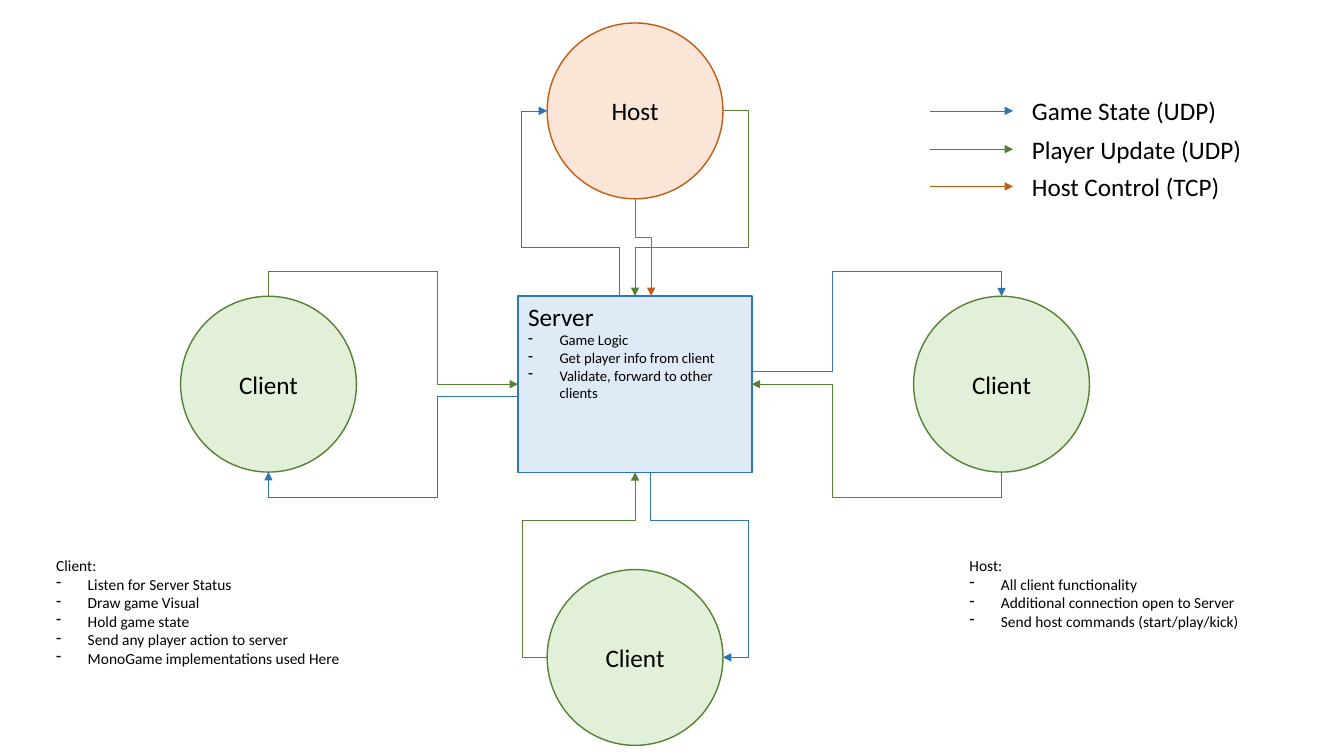
from lxml.etree import SubElement
from pptx import Presentation
from pptx.dml.color import RGBColor
from pptx.enum.shapes import MSO_CONNECTOR, MSO_SHAPE
from pptx.enum.text import MSO_ANCHOR, PP_ALIGN
from pptx.oxml import parse_xml
from pptx.oxml.ns import nsdecls, qn
from pptx.util import Pt

BLUE, GREEN, ORANGE = "2E75B6", "548235", "C55A11"
PALE_BLUE, PALE_GREEN, PALE_ORANGE = "DEEBF7", "E2F0D9", "FBE5D6"

# Layout: the server in the middle, one circle on each side.
CENTER_X, CENTER_Y = 453.6, 274.4
RADIUS = 62.8
HALF_WIDTH, HALF_HEIGHT = 83.5, 63
LEFT_X, RIGHT_X = CENTER_X - 261.8, CENTER_X + 261.8
HOST_Y, BOTTOM_Y = CENTER_Y - 195.2, CENTER_Y + 195.2
STUB = 18

SERVER_LEFT, SERVER_RIGHT = CENTER_X - HALF_WIDTH, CENTER_X + HALF_WIDTH
SERVER_TOP, SERVER_BOTTOM = CENTER_Y - HALF_HEIGHT, CENTER_Y + HALF_HEIGHT
CIRCLE_LEFT, CIRCLE_RIGHT = CENTER_X - RADIUS, CENTER_X + RADIUS
OUTER_LEFT, OUTER_RIGHT = CIRCLE_LEFT - STUB, CIRCLE_RIGHT + STUB
SIDE_TOP, SIDE_BOTTOM = CENTER_Y - RADIUS, CENTER_Y + RADIUS
OUTER_TOP, OUTER_BOTTOM = SIDE_TOP - STUB, SIDE_BOTTOM + STUB
BEND_LEFT, BEND_RIGHT = CENTER_X - 141, CENTER_X + 141
BEND_TOP, BEND_BOTTOM = CENTER_Y - 97.6, CENTER_Y + 97.6


def color(hex_string):
    """Turn a hex string into a colour."""
    return RGBColor.from_string(hex_string)


class Diagram:
    """Holds the text style and the slide being drawn."""

    font_name = "Calibri"
    text_color = "000000"
    indent = 22.5

    def __init__(self, slide):
        """Remember the slide."""
        self.slide = slide

    def paragraph(self, frame, text, size, bullet=False):
        """Write the next paragraph of a text frame."""
        paragraph = frame.paragraphs[0]
        if paragraph.runs:
            paragraph = frame.add_paragraph()
        paragraph.add_run().text = text
        paragraph.alignment = PP_ALIGN.LEFT
        paragraph.font.name = self.font_name
        paragraph.font.size = Pt(size)
        paragraph.font.color.rgb = color(self.text_color)
        if bullet:
            properties = paragraph._p.get_or_add_pPr()
            properties.set("marL", str(Pt(self.indent)))
            properties.set("indent", str(-Pt(self.indent)))
            properties.insert(0, parse_xml(f'<a:buChar {nsdecls("a")} char="-"/>'))
        return paragraph

    def listing(self, frame, heading, heading_size, items, item_size):
        """Write a heading with dashed items below it."""
        self.paragraph(frame, heading, heading_size)
        for item in items:
            self.paragraph(frame, item, item_size, bullet=True)

    def node(self, kind, center, half_size, fill, line):
        """Draw a filled shape around its centre and return its text frame."""
        (x, y), (half_width, half_height) = center, half_size
        shape = self.slide.shapes.add_shape(
            kind, Pt(x - half_width), Pt(y - half_height),
            Pt(2 * half_width), Pt(2 * half_height))
        shape.shadow.inherit = False
        shape.fill.solid()
        shape.fill.fore_color.rgb = color(fill)
        shape.line.color.rgb = color(line)
        shape.line.width = Pt(1)
        return shape.text_frame

    def circle(self, label, center, fill, line):
        """Draw a circle with a centred label."""
        frame = self.node(MSO_SHAPE.OVAL, center, (RADIUS, RADIUS), fill, line)
        frame.vertical_anchor = MSO_ANCHOR.MIDDLE
        self.paragraph(frame, label, 18).alignment = PP_ALIGN.CENTER

    def text_box(self, left, top, width, height):
        """Add a wrapping text box and return its text frame."""
        box = self.slide.shapes.add_textbox(Pt(left), Pt(top), Pt(width), Pt(height))
        box.text_frame.word_wrap = True
        return box.text_frame

    def arrow(self, start, end, line, kind=MSO_CONNECTOR.STRAIGHT):
        """Draw a thin connector with an arrowhead at its end."""
        connector = self.slide.shapes.add_connector(
            kind, *(Pt(value) for value in (*start, *end)))
        connector.line.color.rgb = color(line)
        connector.line.width = Pt(0.5)
        properties = connector._element.spPr
        SubElement(properties.find(qn("a:ln")), qn("a:tailEnd"), type="triangle")
        SubElement(properties, qn("a:effectLst"))
        return connector

    def route(self, start, end, line, bends, vertical=False):
        """Draw a bent arrow; bends are the coordinates where it turns."""
        connector = self.arrow(start, end, line, MSO_CONNECTOR.ELBOW)
        properties = connector._element.spPr
        dx, dy = end[0] - start[0], end[1] - start[1]
        axes = [(start[0], dx), (start[1], dy)]
        if vertical:
            # A quarter turn makes the first leg run up or down.
            axes.reverse()
            width, height = abs(dy), abs(dx)
            connector.left = Pt((start[0] + end[0] - width) / 2)
            connector.top = Pt((start[1] + end[1] - height) / 2)
            connector.width, connector.height = Pt(width), Pt(height)
            frame = properties.find(qn("a:xfrm"))
            frame.set("rot", str(90 * 60000))
            frame.set("flipH", str(int(dy < 0)))
            frame.set("flipV", str(int(dx > 0)))
        geometry = properties.find(qn("a:prstGeom"))
        geometry.set("prst", f"bentConnector{len(bends) + 2}")
        guides = geometry.get_or_add_avLst()
        for number, (bend, (origin, length)) in enumerate(zip(bends, axes), 1):
            share = round((bend - origin) / length * 100000)
            SubElement(guides, qn("a:gd"), name=f"adj{number}", fmla=f"val {share}")


presentation = Presentation()
presentation.slide_width, presentation.slide_height = Pt(960), Pt(540)
diagram = Diagram(presentation.slides.add_slide(presentation.slide_layouts[6]))

server = diagram.node(MSO_SHAPE.RECTANGLE, (CENTER_X, CENTER_Y),
                      (HALF_WIDTH, HALF_HEIGHT), PALE_BLUE, BLUE)
server.vertical_anchor = MSO_ANCHOR.TOP
diagram.listing(server, "Server", 18, [
    "Game Logic", "Get player info from client",
    "Validate, forward to other clients"], 10.5)

diagram.circle("Host", (CENTER_X, HOST_Y), PALE_ORANGE, ORANGE)
for client in [(RIGHT_X, CENTER_Y), (CENTER_X, BOTTOM_Y), (LEFT_X, CENTER_Y)]:
    diagram.circle("Client", client, PALE_GREEN, GREEN)

# Player updates run to the server.
diagram.route((CIRCLE_RIGHT, HOST_Y), (CENTER_X, SERVER_TOP), GREEN,
              [OUTER_RIGHT, BEND_TOP])
diagram.route((RIGHT_X, SIDE_BOTTOM), (SERVER_RIGHT, CENTER_Y), GREEN,
              [OUTER_BOTTOM, BEND_RIGHT], vertical=True)
diagram.route((CIRCLE_LEFT, BOTTOM_Y), (CENTER_X, SERVER_BOTTOM), GREEN,
              [OUTER_LEFT, BEND_BOTTOM])
diagram.route((LEFT_X, SIDE_TOP), (SERVER_LEFT, CENTER_Y), GREEN,
              [OUTER_TOP, BEND_LEFT], vertical=True)

# Game state runs back from the server.
diagram.route((SERVER_LEFT, CENTER_Y + 9), (LEFT_X, SIDE_BOTTOM), BLUE,
              [BEND_LEFT, OUTER_BOTTOM])
diagram.route((CENTER_X - 11.2, SERVER_TOP), (CIRCLE_LEFT, HOST_Y), BLUE,
              [BEND_TOP, OUTER_LEFT], vertical=True)
diagram.route((SERVER_RIGHT, CENTER_Y - 9), (RIGHT_X, SIDE_TOP), BLUE,
              [BEND_RIGHT, OUTER_TOP])
diagram.route((CENTER_X + 10.6, SERVER_BOTTOM), (CIRCLE_RIGHT, BOTTOM_Y), BLUE,
              [BEND_BOTTOM, OUTER_RIGHT], vertical=True)

# Host control
diagram.route((CENTER_X, HOST_Y + RADIUS), (CENTER_X + 11.5, SERVER_TOP), ORANGE,
              [169.4], vertical=True)

legend = [("Game State (UDP)", BLUE, 79.2), ("Player Update (UDP)", GREEN, 106.6),
          ("Host Control (TCP)", ORANGE, 133.2)]
for label, line, y in legend:
    diagram.arrow((664.6, y), (723.6, y), line)
    diagram.paragraph(diagram.text_box(730, y - 14.4, 208, 29), label, 18)

diagram.listing(diagram.text_box(33.1, 393.8, 221, 101), "Client:", 11, [
    "Listen for Server Status", "Draw game Visual", "Hold game state",
    "Send any player action to server", "MonoGame implementations used Here"], 11)
diagram.listing(diagram.text_box(685.4, 393.8, 221, 74), "Host:", 11, [
    "All client functionality", "Additional connection open to Server",
    "Send host commands (start/play/kick)"], 11)

presentation.save("out.pptx")
